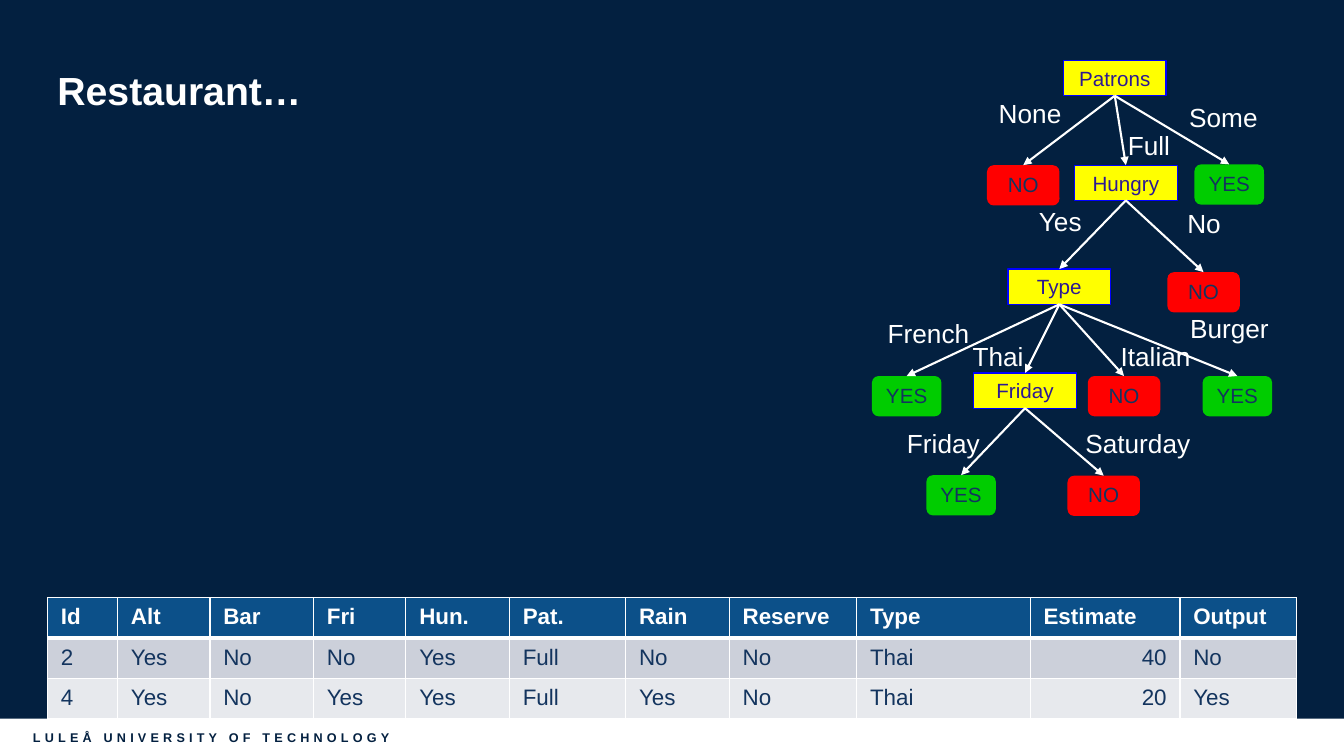
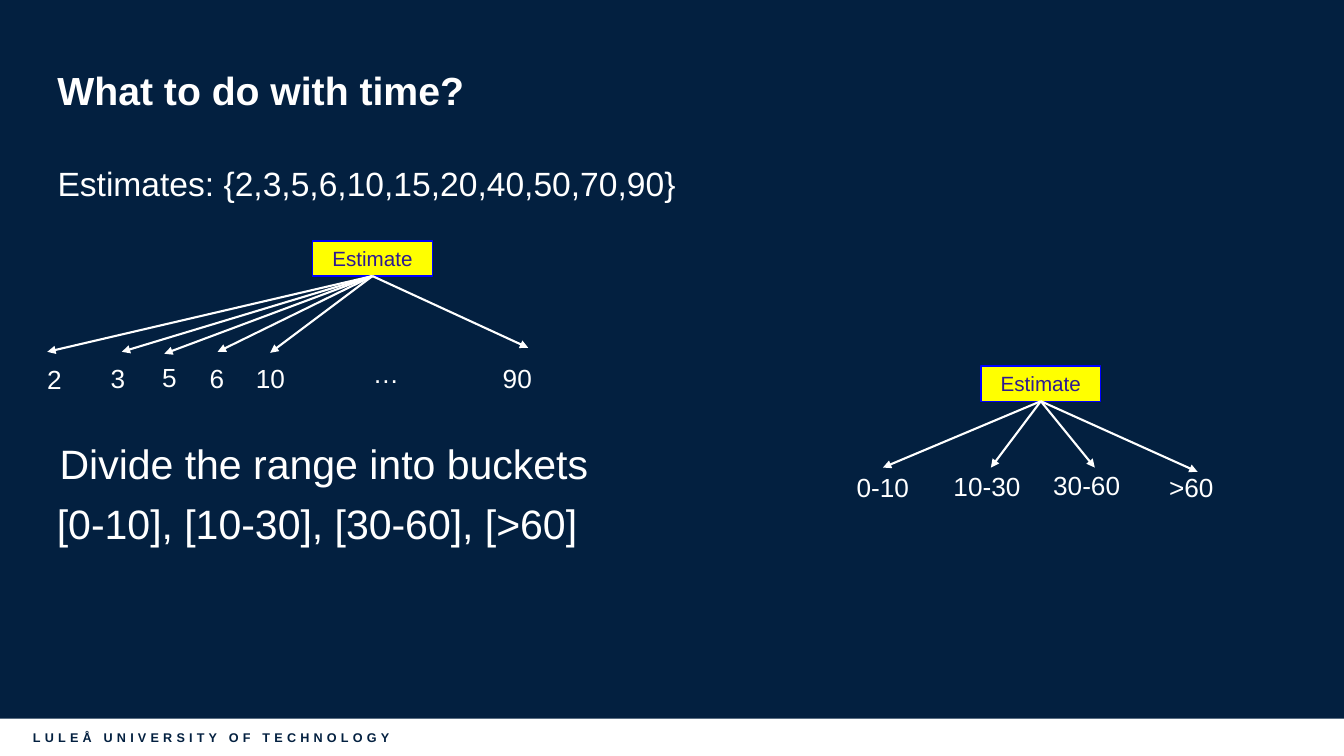
"""Build two slides on decision trees for the restaurant example."""
from dataclasses import dataclass, replace
from typing import Any, Optional

import pptx
import pptx.dml.color
import pptx.enum.shapes
import pptx.enum.text
import pptx.oxml.ns
import pptx.util
from lxml import etree

Pt = pptx.util.Pt
Align = pptx.enum.text.PP_ALIGN
Anchor = pptx.enum.text.MSO_ANCHOR
Shape = pptx.enum.shapes.MSO_SHAPE


@dataclass(frozen=True)
class Theme:
    """Colours, font and type sizes shared by the slides."""
    font: str = "Arial"
    navy: str = "032040"
    white: str = "FFFFFF"
    ink: str = "13345E"
    header: str = "0C5089"
    bands: tuple[str, str] = ("CCD0DA", "E7E9ED")
    yellow: str = "FFFF00"
    blue: str = "0000FF"
    violet: str = "2D1993"
    green: str = "00CC00"
    red: str = "FF0000"
    footer_size: float = 9
    node_size: float = 14.7
    table_size: float = 16
    label_size: float = 18.7
    body_size: float = 24
    title_size: float = 28
    bucket_size: float = 29.3


THEME = Theme()


@dataclass(frozen=True)
class NodeStyle:
    """Look of one kind of tree node."""
    fill: str
    ink: str
    width: float
    height: float
    edge: Optional[str] = None
    preset: Any = Shape.ROUNDED_RECTANGLE
    lift: float = 2


QUESTION = NodeStyle(THEME.yellow, THEME.violet, 73.4, 25.2, THEME.blue, Shape.RECTANGLE, 0)
ESTIMATE = replace(QUESTION, width=85.7)
YES = NodeStyle(THEME.green, THEME.ink, 49.7, 28.8)
NO = NodeStyle(THEME.red, THEME.ink, 51.8, 28.8)


@dataclass(frozen=True)
class Node:
    """Tree node with its child nodes."""
    text: str
    x: float
    y: float
    style: NodeStyle
    children: tuple["Node", ...] = ()


@dataclass(frozen=True)
class Label:
    """Text by a branch, and the point where its arrow ends, if any."""
    text: str
    x: float
    y: float
    width: float
    tip: Optional[tuple[float, float]] = None


RESTAURANT_TREE = Node("Patrons", 759.6, 43.2, QUESTION, (
    Node("NO", 705, 118, NO),
    Node("Hungry", 767.5, 118, QUESTION, (
        Node("Type", 720, 192.2, QUESTION, (
            Node("YES", 622.8, 268.6, YES),
            Node("Friday", 695.5, 266.4, QUESTION, (
                Node("YES", 661.7, 339.4, YES),
                Node("NO", 762.5, 339.8, NO),
            )),
            Node("NO", 777, 268.6, NO),
            Node("YES", 859, 268.6, YES),
        )),
        Node("NO", 833.8, 194.4, NO),
    )),
    Node("YES", 853.2, 117.4, YES),
))

RESTAURANT_LABELS = (
    Label("None", 706.3, 66.2, 59.8),
    Label("Full", 798.5, 88.6, 44.6),
    Label("Some", 842.4, 69, 64),
    Label("Yes", 735, 143.3, 45.4),
    Label("No", 841, 144.7, 39),
    Label("French", 627, 223.2, 73.4),
    Label("Thai", 687.6, 239.8, 51),
    Label("Italian", 793.4, 239.8, 64.8),
    Label("Burger", 843, 219.6, 71.3),
    Label("Friday", 640.8, 301.7, 67),
    Label("Saturday", 768.2, 301.7, 90),
)

COLUMNS = (("Id", 50), ("Alt", 66), ("Bar", 74), ("Fri", 66), ("Hun.", 74), ("Pat.", 83),
           ("Rain", 74), ("Reserve", 91), ("Type", 124), ("Estimate", 107), ("Output", 83))
ROWS = (
    ("2", "Yes", "No", "No", "Yes", "Full", "No", "No", "Thai", "40", "No"),
    ("4", "Yes", "No", "Yes", "Yes", "Full", "Yes", "No", "Thai", "20", "Yes"),
)

ESTIMATE_TREES = (
    (Node("Estimate", 223.2, 172, ESTIMATE), (
        Label("2", 26.6, 256.3, 25.2, (33.8, 251.3)),
        Label("3", 72, 255, 25.2, (87, 251.3)),
        Label("5", 108.7, 254.2, 25.2, (117.4, 252.7)),
        Label("6", 142.6, 255, 25.2, (155.5, 251.3)),
        Label("10", 175.7, 255.6, 35.3, (193, 252)),
        Label("…", 259.2, 252, 33),
        Label("90", 352, 255, 35.3, (377.3, 248.4)),
    )),
    (Node("Estimate", 700.6, 261.4, ESTIMATE), (
        Label("0-10", 604.8, 333.4, 52.6, (630.7, 334)),
        Label("10-30", 674, 332.6, 62.6, (707.8, 334)),
        Label("30-60", 745.2, 332, 62.6, (782, 334)),
        Label(">60", 828, 333.4, 46.8, (855.4, 337)),
    )),
)


def colour(value: str) -> Any:
    """Turn a hex string into a colour."""
    return pptx.dml.color.RGBColor.from_string(value)


def write(frame: Any, text: str, *, size: float, ink: str = THEME.white, bold: bool = False,
          align: Any = Align.LEFT, anchor: Any = Anchor.TOP, wrap: bool = True,
          tracking: float = 0, leading: Optional[float] = None) -> None:
    """Put one formatted paragraph into a text frame."""
    frame.word_wrap = wrap
    frame.vertical_anchor = anchor
    para = frame.paragraphs[0]
    para.alignment = align
    if leading:
        para.line_spacing = leading
    span = para.add_run()
    span.text = text
    span.font.name = THEME.font
    span.font.size = Pt(size)
    span.font.bold = bold
    span.font.color.rgb = colour(ink)
    if tracking:
        span.font._element.set("spc", str(round(tracking * 100)))


def add_text(page: Any, text: str, x: float, y: float, width: float, height: float,
             *, inset: tuple[float, float] = (7.2, 3.6), **form: Any) -> None:
    """Add a text box."""
    box = page.shapes.add_textbox(Pt(x), Pt(y), Pt(width), Pt(height))
    frame = box.text_frame
    frame.margin_left = frame.margin_right = Pt(inset[0])
    frame.margin_top = frame.margin_bottom = Pt(inset[1])
    write(frame, text, **form)


def add_box(page: Any, preset: Any, x: float, y: float, width: float, height: float,
            fill: str, edge: Optional[str] = None) -> Any:
    """Add a flat preset shape."""
    box = page.shapes.add_shape(preset, Pt(x), Pt(y), Pt(width), Pt(height))
    box.shadow.inherit = False
    box.fill.solid()
    box.fill.fore_color.rgb = colour(fill)
    if edge:
        box.line.color.rgb = colour(edge)
        box.line.width = Pt(1)
    else:
        box.line.fill.background()
    return box


def add_node(page: Any, node: Node) -> Any:
    """Draw a node, its descendants and the arrows between them."""
    style = node.style
    box = add_box(page, style.preset, node.x, node.y, style.width, style.height,
                  style.fill, style.edge)
    frame = box.text_frame
    frame.margin_left = frame.margin_right = frame.margin_top = 0
    frame.margin_bottom = Pt(style.lift)
    write(frame, node.text, size=THEME.node_size, ink=style.ink, align=Align.CENTER,
          anchor=Anchor.MIDDLE)
    for child in node.children:
        child_box = add_node(page, child)
        arrow = add_arrow(page, box, child.x + child.style.width / 2, child.y)
        arrow.end_connect(child_box, 0)
    return box


def add_arrow(page: Any, box: Any, x: float, y: float) -> Any:
    """Draw an arrow from the bottom of a box to a point."""
    arrow = page.shapes.add_connector(
        pptx.enum.shapes.MSO_CONNECTOR.STRAIGHT,
        box.left + box.width // 2, box.top + box.height, Pt(x), Pt(y))
    arrow.begin_connect(box, 2)
    arrow.line.color.rgb = colour(THEME.white)
    arrow.line.width = Pt(1.5)
    qn = pptx.oxml.ns.qn
    etree.SubElement(arrow.line._get_or_add_ln(), qn("a:tailEnd"), type="triangle")
    etree.SubElement(arrow._element.spPr, qn("a:effectLst"))
    return arrow


def add_labels(page: Any, labels: tuple[Label, ...]) -> None:
    """Write the branch labels."""
    for label in labels:
        add_text(page, label.text, label.x, label.y, label.width, 30,
                 size=THEME.label_size, wrap=False)


def set_borders(cell: Any, top: float, bottom: float) -> None:
    """Give a cell white borders."""
    qn = pptx.oxml.ns.qn
    properties = cell._tc.get_or_add_tcPr()
    for side, width in (("L", 1), ("R", 1), ("T", top), ("B", bottom)):
        border = etree.SubElement(properties, qn(f"a:ln{side}"), w=str(Pt(width)))
        fill = etree.SubElement(border, qn("a:solidFill"))
        etree.SubElement(fill, qn("a:srgbClr"), val=THEME.white)


def add_examples(page: Any) -> None:
    """Add the table of training examples."""
    names = tuple(name for name, _ in COLUMNS)
    lines = (names, *ROWS)
    total = sum(width for _, width in COLUMNS)
    table = page.shapes.add_table(len(lines), len(COLUMNS), Pt(34), Pt(427),
                                  Pt(total), Pt(28.8 * len(lines))).table
    table.horz_banding = False
    for column, (_, width) in zip(table.columns, COLUMNS):
        column.width = Pt(width)
    for index, line in enumerate(lines):
        head = index == 0
        table.rows[index].height = Pt(28.8)
        for name, text, cell in zip(names, line, table.rows[index].cells):
            set_borders(cell, top=3 if index == 1 else 1, bottom=3 if head else 1)
            cell.fill.solid()
            cell.fill.fore_color.rgb = colour(THEME.header if head else THEME.bands[index - 1])
            cell.margin_left = cell.margin_right = Pt(9.6)
            cell.margin_top = cell.margin_bottom = Pt(4.8)
            number = name == "Estimate" and not head
            write(cell.text_frame, text, size=THEME.table_size, bold=head,
                  ink=THEME.white if head else THEME.ink,
                  align=Align.RIGHT if number else Align.LEFT)


def add_page(deck: Any, title: str) -> Any:
    """Add a slide with the footer band and a title."""
    page = deck.slides.add_slide(deck.slide_layouts[6])
    band = add_box(page, Shape.RECTANGLE, 0, 513.4, 960, 26.6, THEME.white)
    band.text_frame.margin_left = Pt(23.5)
    write(band.text_frame, "LULEÅ UNIVERSITY OF TECHNOLOGY", size=THEME.footer_size,
          ink=THEME.navy, bold=True, anchor=Anchor.MIDDLE, tracking=3)
    add_text(page, title, 34, 18.7, 892, 95, size=THEME.title_size, bold=True,
             anchor=Anchor.MIDDLE, leading=0.9)
    return page


def main() -> None:
    """Build and save the deck."""
    deck = pptx.Presentation()
    deck.slide_width, deck.slide_height = Pt(960), Pt(540)
    backdrop = deck.slide_master.background.fill
    backdrop.solid()
    backdrop.fore_color.rgb = colour(THEME.navy)

    page = add_page(deck, "Restaurant…")
    add_examples(page)
    add_node(page, RESTAURANT_TREE)
    add_labels(page, RESTAURANT_LABELS)

    page = add_page(deck, "What to do with time?")
    add_text(page, "Estimates: {2,3,5,6,10,15,20,40,50,70,90}", 34, 113, 890, 43,
             size=THEME.body_size)
    for node, labels in ESTIMATE_TREES:
        box = add_node(page, node)
        for label in labels:
            if label.tip:
                add_arrow(page, box, *label.tip)
        add_labels(page, labels)
    for text, x, y in (("Divide the range into buckets", 33, 308.2),
                       ("[0-10], [10-30], [30-60], [>60]", 31, 351.4)):
        add_text(page, text, x, y, 429, 43, inset=(9.6, 4.8), size=THEME.bucket_size)
    deck.save("out.pptx")


if __name__ == "__main__":
    main()
